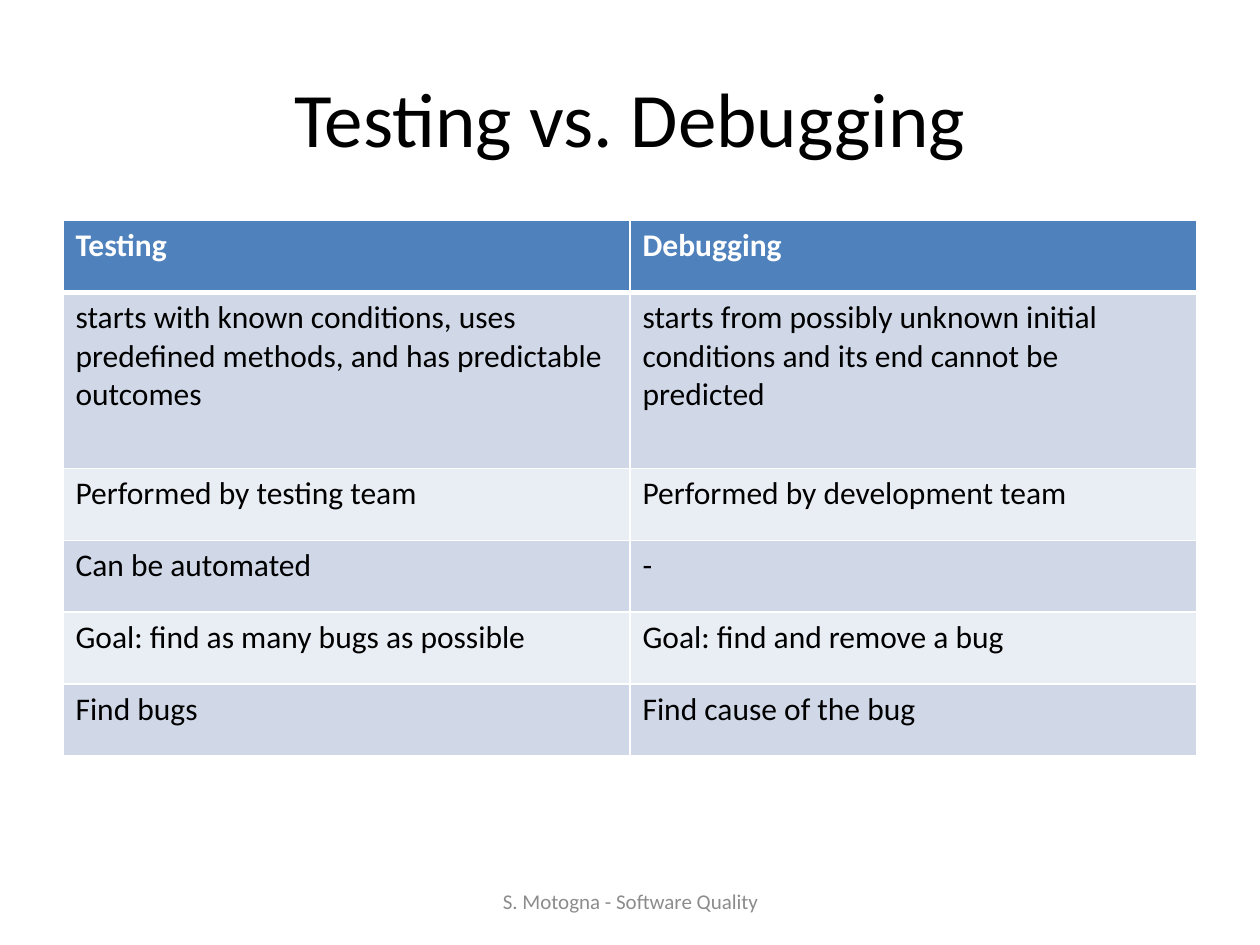
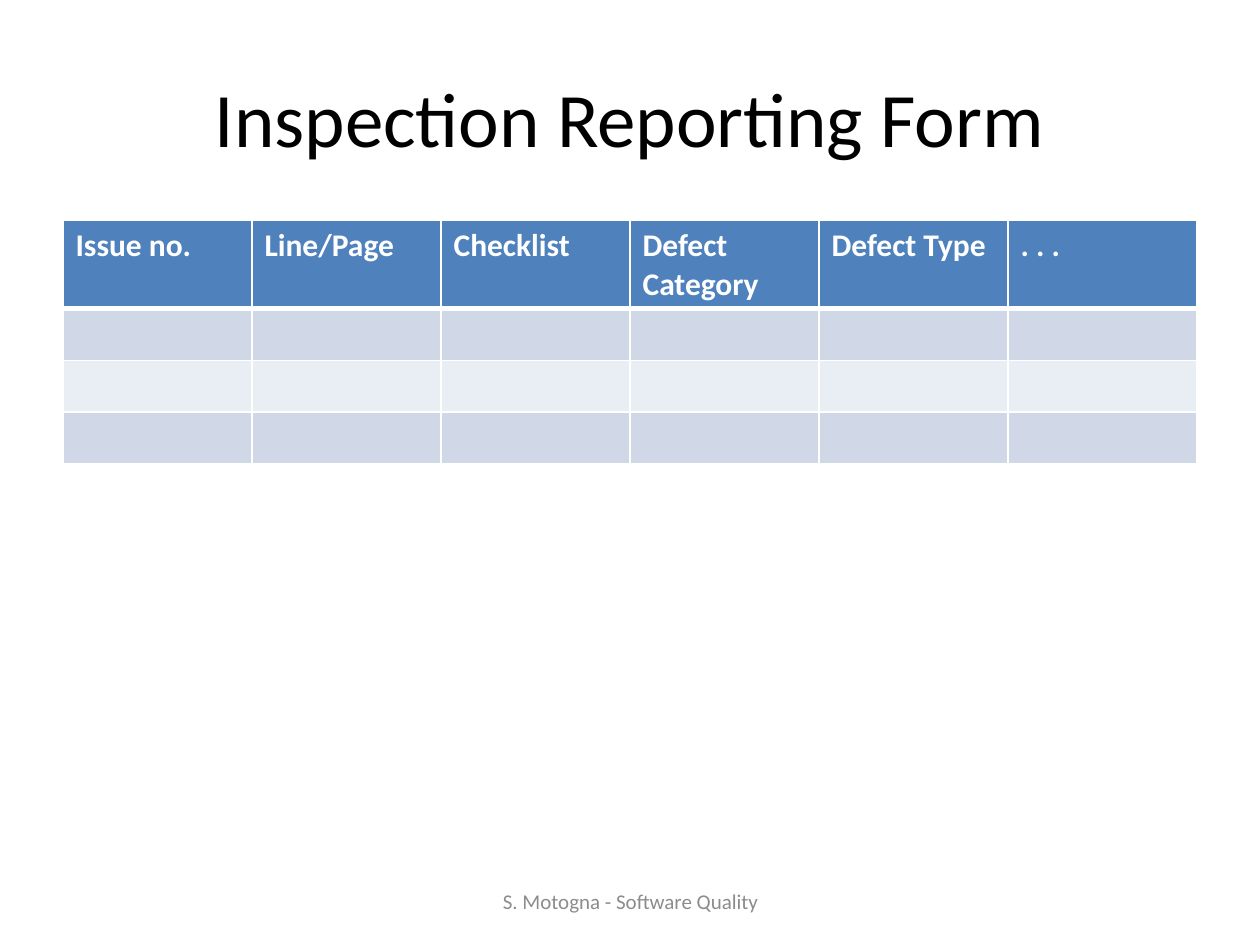
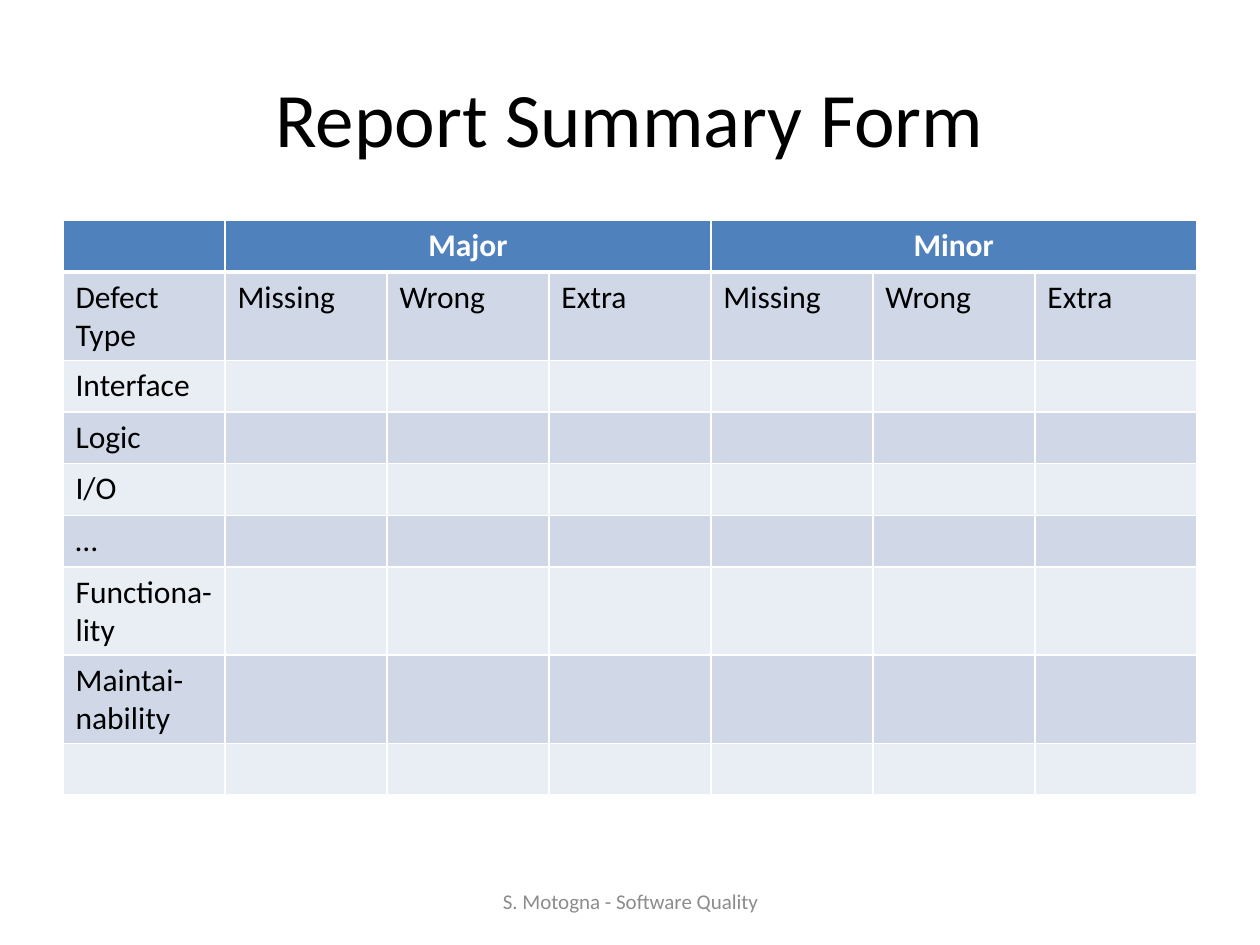
import dataclasses

import pptx
import pptx.dml.color
import pptx.enum.text
import pptx.oxml
import pptx.oxml.ns
import pptx.util

Inches = pptx.util.Inches
Pt = pptx.util.Pt
RGBColor = pptx.dml.color.RGBColor
ALIGN = pptx.enum.text.PP_ALIGN
MIDDLE = pptx.enum.text.MSO_ANCHOR.MIDDLE

TITLE_ONLY_LAYOUT = 5
FOOTER = "S. Motogna - Software Quality"


@dataclasses.dataclass(frozen=True)
class Theme:
    font: str = "Calibri"
    title_size: int = 44
    table_size: int = 18
    footer_size: int = 12
    thin_border: int = 1
    header_border: int = 3
    text: RGBColor = RGBColor.from_string("000000")
    header_text: RGBColor = RGBColor.from_string("FFFFFF")
    footer_text: RGBColor = RGBColor.from_string("8C8C8C")
    border: RGBColor = RGBColor.from_string("FFFFFF")
    header_fill: RGBColor = RGBColor.from_string("4F81BD")
    odd_fill: RGBColor = RGBColor.from_string("D0D8E8")
    even_fill: RGBColor = RGBColor.from_string("E9EDF4")


class Deck:
    """Holds the theme and the slide being filled."""

    def __init__(self, presentation, theme):
        self.presentation = presentation
        self.theme = theme
        self.slide = None

    def add_slide(self, title):
        layout = self.presentation.slide_layouts[TITLE_ONLY_LAYOUT]
        self.slide = self.presentation.slides.add_slide(layout)
        self.add_title(title)
        self.add_footer()

    def add_title(self, text):
        shape = self.slide.shapes.title
        shape.left, shape.top = Inches(0.5), Inches(0.3)
        shape.width, shape.height = Inches(9), Inches(1.25)
        shape.text_frame.vertical_anchor = MIDDLE
        self.add_text(shape.text_frame, text, self.theme.title_size,
                      self.theme.text, align=ALIGN.CENTER)

    def add_footer(self):
        shape = self.slide.shapes.add_textbox(
            Inches(3.42), Inches(6.95), Inches(3.17), Inches(0.4))
        shape.text_frame.word_wrap = True
        shape.text_frame.vertical_anchor = MIDDLE
        self.add_text(shape.text_frame, FOOTER, self.theme.footer_size,
                      self.theme.footer_text, align=ALIGN.CENTER)

    def add_table(self, rows, heights, header_spans=()):
        """Add a banded table; header_spans lists (first, last) merged columns."""
        table = self.slide.shapes.add_table(
            len(rows), len(rows[0]), Inches(0.5), Inches(1.75),
            Inches(9), Inches(sum(heights))).table
        for row, height in zip(table.rows, heights):
            row.height = Inches(height)
        for first, last in header_spans:
            table.cell(0, first).merge(table.cell(0, last))
        for row_index, texts in enumerate(rows):
            for column_index, text in enumerate(texts):
                self.fill_cell(table.cell(row_index, column_index), row_index, text)

    def fill_cell(self, cell, row_index, text):
        theme = self.theme
        is_header = row_index == 0
        self.add_borders(cell, row_index)
        cell.fill.solid()
        if is_header:
            cell.fill.fore_color.rgb = theme.header_fill
        else:
            cell.fill.fore_color.rgb = theme.odd_fill if row_index % 2 else theme.even_fill
        if text:
            self.add_text(cell.text_frame, text, theme.table_size,
                          theme.header_text if is_header else theme.text,
                          bold=is_header,
                          align=ALIGN.CENTER if cell.is_merge_origin else ALIGN.LEFT)

    def add_borders(self, cell, row_index):
        """Draw thin borders, with a thick one below the header row."""
        theme = self.theme
        widths = dict.fromkeys(("lnL", "lnR", "lnT", "lnB"), theme.thin_border)
        if row_index == 0:
            widths["lnB"] = theme.header_border
        elif row_index == 1:
            widths["lnT"] = theme.header_border
        properties = cell._tc.get_or_add_tcPr()
        for tag, width in widths.items():
            properties.append(pptx.oxml.parse_xml(
                f'<a:{tag} {pptx.oxml.ns.nsdecls("a")} w="{Pt(width)}"><a:solidFill>'
                f'<a:srgbClr val="{theme.border}"/></a:solidFill></a:{tag}>'))

    def add_text(self, text_frame, text, size, color, bold=False, align=ALIGN.LEFT):
        paragraph = text_frame.paragraphs[0]
        paragraph.alignment = align
        run = paragraph.add_run()
        run.text = text
        run.font.name = self.theme.font
        run.font.size = Pt(size)
        run.font.bold = bold
        run.font.color.rgb = color


def add_testing_comparison(deck):
    deck.add_slide("Testing vs. Debugging")
    deck.add_table([
        ("Testing", "Debugging"),
        ("starts with known conditions, uses predefined methods, "
         "and has predictable outcomes",
         "starts from possibly unknown initial conditions "
         "and its end cannot be predicted"),
        ("Performed by testing team", "Performed by development team"),
        ("Can be automated", "-"),
        ("Goal: find as many bugs as possible", "Goal: find and remove a bug"),
        ("Find bugs", "Find cause of the bug"),
    ], heights=[0.57, 1.4] + [0.57] * 4)


def add_inspection_form(deck):
    headings = ("Issue no.", "Line/Page", "Checklist",
                "Defect Category", "Defect Type", ". . .")
    blank_row = ("",) * len(headings)
    deck.add_slide("Inspection Reporting Form")
    deck.add_table([headings] + [blank_row] * 3, heights=[0.41] * 4)


def add_summary_form(deck):
    severities = ("Major", "Minor")
    kinds = ("Missing", "Wrong", "Extra")
    defect_types = ("Interface", "Logic", "I/O", "…",
                    "Functiona-lity", "Maintai-nability", "")
    header = [""]
    spans = []
    for severity in severities:
        spans.append((len(header), len(header) + len(kinds) - 1))
        header += [severity] + [""] * (len(kinds) - 1)
    rows = [header, ("Defect Type",) + kinds * len(severities)]
    rows += [[defect_type] + [""] * (len(header) - 1) for defect_type in defect_types]
    deck.add_slide("Report Summary Form")
    deck.add_table(rows, heights=[0.41] * len(rows), header_spans=spans)


def main():
    presentation = pptx.Presentation()
    presentation.slide_width = Inches(10)
    presentation.slide_height = Inches(7.5)
    deck = Deck(presentation, Theme())
    add_testing_comparison(deck)
    add_inspection_form(deck)
    add_summary_form(deck)
    presentation.save("out.pptx")


if __name__ == "__main__":
    main()
